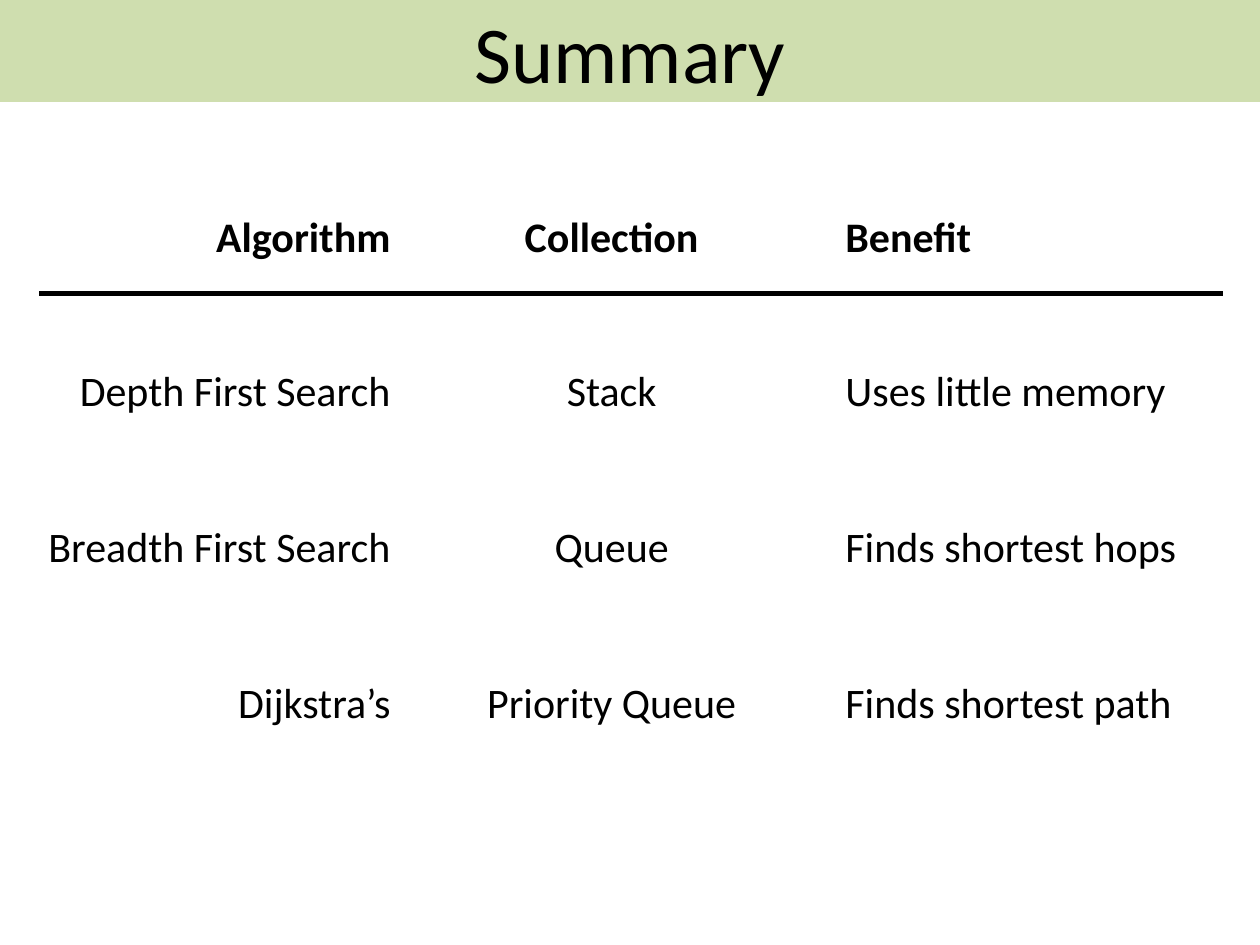
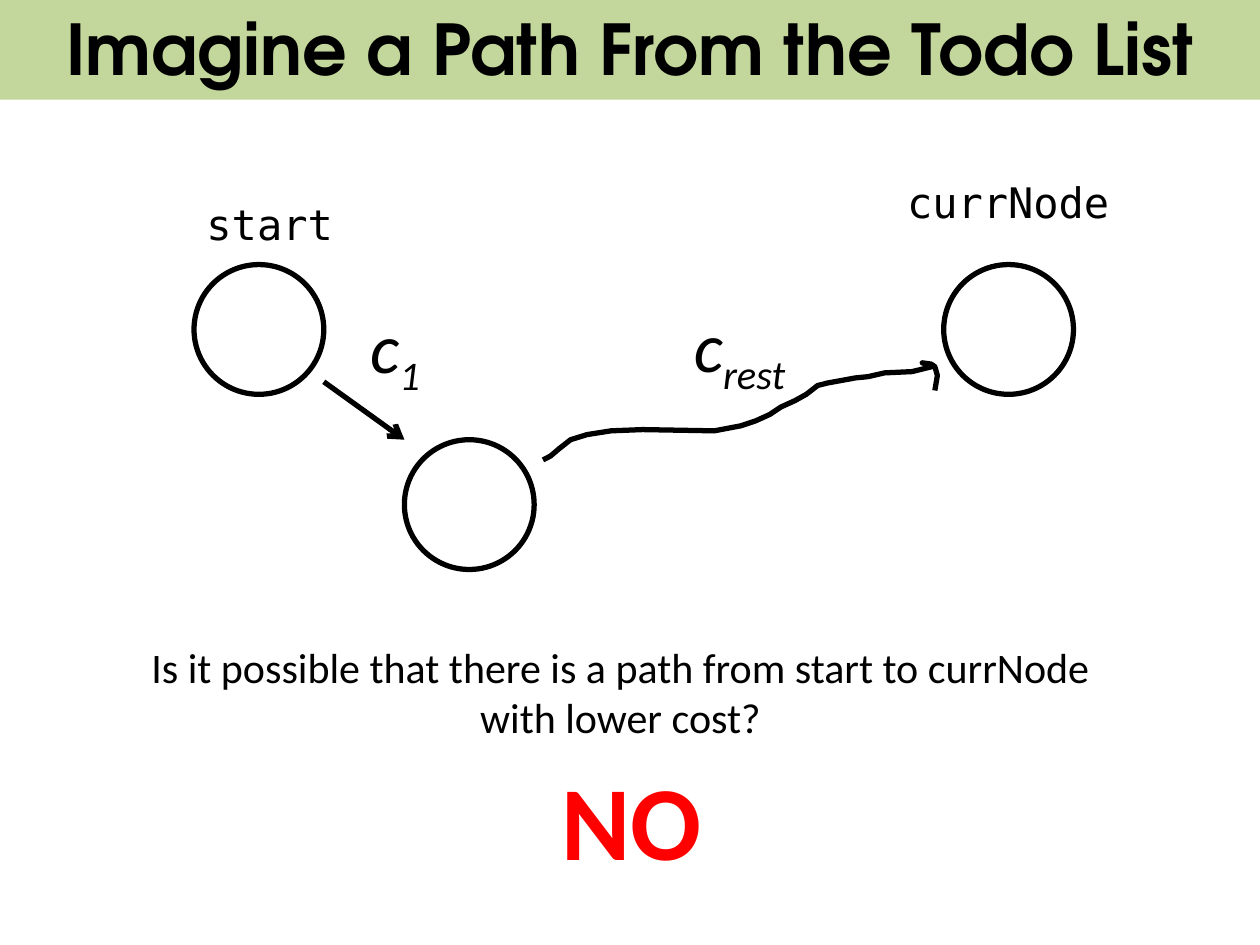
from lxml import etree
from pptx import Presentation
from pptx.dml.color import RGBColor
from pptx.enum.shapes import MSO_CONNECTOR, MSO_SHAPE
from pptx.enum.text import MSO_ANCHOR as ANCHOR, MSO_AUTO_SIZE as AUTO, PP_ALIGN as ALIGN
from pptx.oxml.ns import qn
from pptx.util import Inches, Pt

BLACK = RGBColor(0x00, 0x00, 0x00)
WHITE = RGBColor(0xFF, 0xFF, 0xFF)
RED = RGBColor(0xFF, 0x00, 0x00)
GREEN = RGBColor(0xC3, 0xD6, 0x9B)
PALE_GREEN = RGBColor(0xCF, 0xDE, 0xAF)
BODY, MONO, DISPLAY = "Calibri", "DejaVu Sans Mono", "TeX Gyre Adventor"
LINE_WIDTH = Pt(3)
NODE_SIZE = 1.03

ROWS = [
    ("Algorithm", "Collection", "Benefit"),
    ("Depth First Search", "Stack", "Uses little memory"),
    ("Breadth First Search", "Queue", "Finds shortest hops"),
    ("Dijkstra’s", "Priority Queue", "Finds shortest path"),
]
COLUMNS = [(2.89, ALIGN.RIGHT), (3.31, ALIGN.CENTER), (3.2, ALIGN.LEFT)]
REST_PATH = [
    (0, 0.77), (0.06, 0.74), (0.13, 0.68), (0.22, 0.61), (0.35, 0.57),
    (0.54, 0.54), (0.79, 0.53), (1.36, 0.54), (1.57, 0.5), (1.69, 0.46),
    (1.8, 0.41), (1.89, 0.35), (2, 0.3), (2.09, 0.25), (2.18, 0.18),
    (2.26, 0.16), (2.48, 0.12), (2.58, 0.11), (2.71, 0.08), (2.93, 0.07),
    (3.09, 0.03), (3.01, 0), (3.08, 0.01), (3.11, 0.03), (3.13, 0.1),
    (3.11, 0.22),
]


def add_run(p, text, size, font=BODY, color=BLACK, bold=False, italic=False):
    """Append a formatted run to a paragraph."""
    r = p.add_run()
    r.text = text
    f = r.font
    f.size, f.name, f.bold, f.italic = Pt(size), font, bold, italic
    f.color.rgb = color
    return r


def add_title(slide, text, top, height, fill, size, font=BODY, bold=False):
    """Turn the title placeholder into a full-width coloured band."""
    sp = slide.shapes.title
    sp.left, sp.top, sp.width, sp.height = map(Inches, (0, top, 10, height))
    sp.fill.solid()
    sp.fill.fore_color.rgb = fill
    tf = sp.text_frame
    tf.auto_size, tf.vertical_anchor = AUTO.NONE, ANCHOR.MIDDLE
    p = tf.paragraphs[0]
    p.alignment = ALIGN.CENTER
    add_run(p, text, size, font, bold=bold)


def add_label(slide, box, text, size, align=ALIGN.LEFT, wrap=False, **style):
    """Add a text box and return its paragraph."""
    tf = slide.shapes.add_textbox(*map(Inches, box)).text_frame
    tf.word_wrap = wrap
    p = tf.paragraphs[0]
    p.alignment = align
    add_run(p, text, size, **style)
    return p


def add_line(slide, x1, y1, x2, y2, arrow=False):
    """Draw a straight black line, with an arrowhead at its end if asked."""
    line = slide.shapes.add_connector(MSO_CONNECTOR.STRAIGHT, *map(Inches, (x1, y1, x2, y2)))
    line.line.color.rgb = BLACK
    line.line.width = LINE_WIDTH
    if arrow:
        etree.SubElement(line.line._get_or_add_ln(), qn("a:tailEnd"), type="arrow")
    etree.SubElement(line._element.spPr, qn("a:effectLst"))


def add_summary_table(slide, left, top, header=0.69, row_height=1.24):
    """Add the algorithm table with a rule under its header."""
    width = sum(w for w, _ in COLUMNS)
    height = header + row_height * (len(ROWS) - 1)
    frame = slide.shapes.add_table(len(ROWS), len(COLUMNS),
                                   *map(Inches, (left, top, width, height)))
    table = frame.table
    table.first_row = table.horz_banding = False
    for col, (w, _) in zip(table.columns, COLUMNS):
        col.width = Inches(w)
    for i, row in enumerate(ROWS):
        table.rows[i].height = Inches(row_height if i else header)
        for j, text in enumerate(row):
            cell = table.cell(i, j)
            cell.fill.background()
            cell.vertical_anchor = ANCHOR.TOP
            cell.margin_top = Inches(0.58 if i else 0.05)
            cell.margin_left = Inches(0.2 if j == 2 else 0)
            cell.margin_right = Inches(0.1 if j == 0 else 0)
            p = cell.text_frame.paragraphs[0]
            p.alignment = COLUMNS[j][1]
            add_run(p, text, 24, bold=i == 0)
    add_line(slide, left, top + header, left + width, top + header)


def add_node(slide, left, top):
    """Draw one graph node."""
    sp = slide.shapes.add_shape(MSO_SHAPE.OVAL, *map(Inches, (left, top, NODE_SIZE, NODE_SIZE)))
    sp.shadow.inherit = False
    sp.fill.solid()
    sp.fill.fore_color.rgb = WHITE
    sp.line.color.rgb = BLACK
    sp.line.width = LINE_WIDTH


def add_rest_path(slide, left, top):
    """Draw the hand-drawn arrow for the rest of the path."""
    points = [(Inches(left + x), Inches(top + y)) for x, y in REST_PATH]
    builder = slide.shapes.build_freeform(*points[0])
    builder.add_line_segments(points[1:], close=False)
    sp = builder.convert_to_shape()
    sp.shadow.inherit = False
    sp.fill.background()
    sp.line.color.rgb = BLACK
    sp.line.width = LINE_WIDTH


def add_cost(slide, box, subscript):
    """Add a cost symbol c with its subscript."""
    p = add_label(slide, box, "c", 40, italic=True)
    r = add_run(p, subscript, 40, italic=True)
    r.font._element.set("baseline", "-25000")


def add_path_diagram(slide, left, top):
    """Draw the nodes, edges and labels of the path."""
    for x, y in ((0, 0.75), (1.67, 2.14), (5.95, 0.75)):
        add_node(slide, left + x, top + y)
    add_line(slide, left + 1.03, top + 1.68, left + 1.67, top + 2.14, arrow=True)
    add_rest_path(slide, left + 2.77, top + 1.53)
    add_label(slide, (left, top + 0.18, 1.21, 0.5), "start", 24, font=MONO)
    add_label(slide, (left + 5.56, top, 1.82, 0.5), "currNode", 24, font=MONO)
    add_cost(slide, (left + 1.3, top + 1.01, 0.74, 0.77), "1")
    add_cost(slide, (left + 3.87, top + 1, 1.13, 0.77), "rest")


def add_question(slide, left, top):
    """Add the question and its answer."""
    add_label(slide, (left, top, 7.97, 0.91),
              "Is it possible that there is a path from start to currNode with lower cost?",
              24, ALIGN.CENTER, wrap=True)
    add_label(slide, (left + 3.42, top + 0.91, 1.33, 1.11), "NO", 60, color=RED, bold=True)


def main():
    """Build and save both slides."""
    prs = Presentation()
    prs.slide_width, prs.slide_height = Inches(10), Inches(7.5)
    layout = prs.slide_layouts.get_by_name("Title Only")

    slide = prs.slides.add_slide(layout)
    add_title(slide, "Summary", 0, 0.81, PALE_GREEN, 46)
    add_summary_table(slide, 0.31, 1.64)

    slide = prs.slides.add_slide(layout)
    add_title(slide, "Imagine a Path From the Todo List", -0.03, 0.82, GREEN, 40, DISPLAY, True)
    add_path_diagram(slide, 1.54, 1.35)
    add_question(slide, 0.94, 5.04)

    prs.save("out.pptx")


if __name__ == "__main__":
    main()
